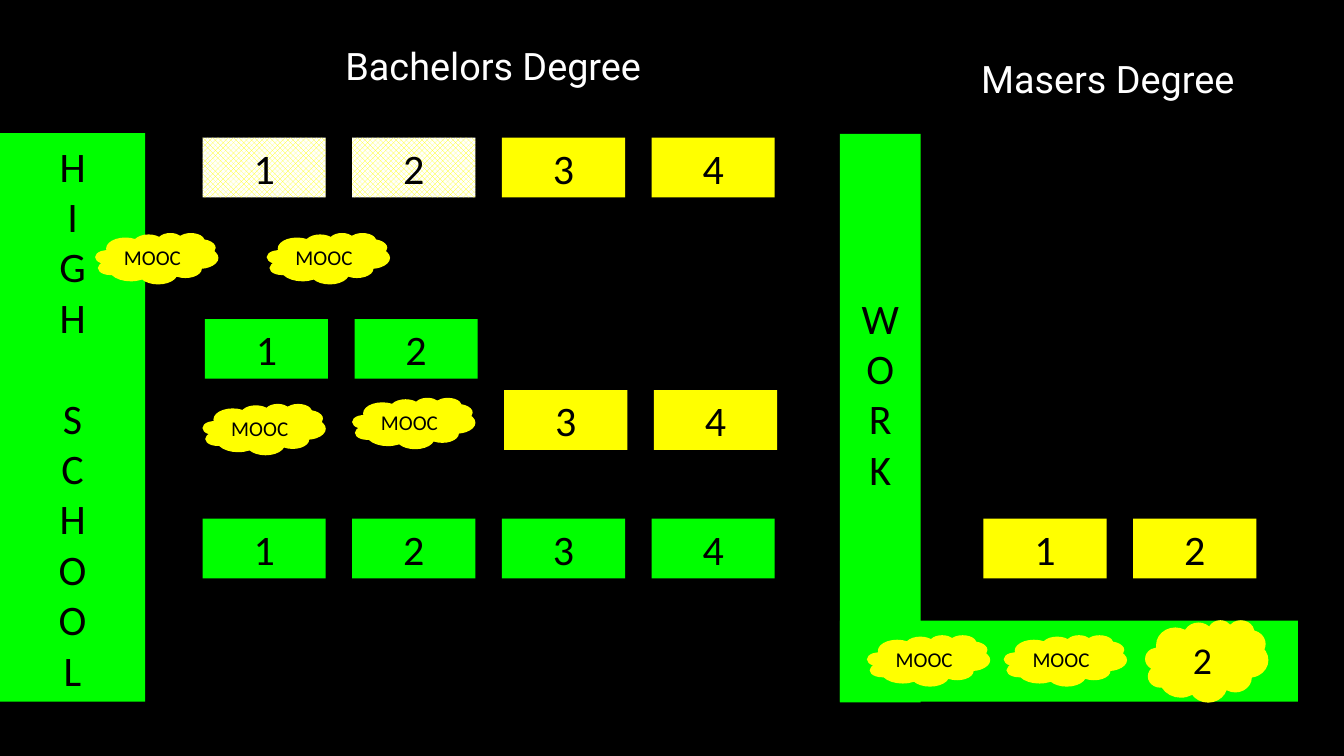
from pptx import Presentation
from pptx.dml.color import RGBColor
from pptx.enum.dml import MSO_PATTERN
from pptx.enum.shapes import MSO_SHAPE
from pptx.enum.text import MSO_ANCHOR, PP_ALIGN
from pptx.util import Inches, Pt

COLORS = {
    "black": "000000",
    "white": "FFFFFF",
    "green": "00FF00",
    "yellow": "FFFF00",
}
YEAR_PITCH = 1.98
ITEM_WIDTH = 1.63
LETTER_LINE = 48  # points taken by one line of 40 pt letters


def color(name):
    return RGBColor.from_string(COLORS[name])


class DegreePage:
    """Holds the style and the current slide."""

    def __init__(self, deck):
        self.page = deck.slides.add_slide(deck.slide_layouts[5])
        self.page.background.fill.solid()
        self.page.background.fill.fore_color.rgb = color("black")

    def set_text(self, shape, lines, size, font="Calibri", ink="black", align=PP_ALIGN.CENTER):
        frame = shape.text_frame
        frame.margin_left = frame.margin_right = Inches(0.06)
        frame.margin_top = frame.margin_bottom = Inches(0.06)
        frame.vertical_anchor = MSO_ANCHOR.MIDDLE
        frame.text = "\n".join(lines)
        for para in frame.paragraphs:
            para.alignment = align
            para.font.size = Pt(size)
            para.font.name = font
            para.font.color.rgb = color(ink)
        return frame

    def shape(self, kind, left, top, width, height, fill):
        shape = self.page.shapes.add_shape(
            kind, Inches(left), Inches(top), Inches(width), Inches(height))
        shape.shadow.inherit = False
        shape.line.fill.background()
        shape.fill.solid()
        shape.fill.fore_color.rgb = color(fill)
        return shape

    def bar(self, left, top, width, height, letters=""):
        """Draw a green bar, with its letters stacked from top to bottom."""
        bar = self.shape(MSO_SHAPE.RECTANGLE, left, top, width, height, "green")
        return self.set_text(bar, letters, 40) if letters else None

    def years(self, left, top, numbers, fill, hatched=False):
        """Draw a row of year boxes; left is where year 1 stands."""
        for number in numbers:
            box = self.shape(MSO_SHAPE.RECTANGLE, left + (number - 1) * YEAR_PITCH,
                             top, ITEM_WIDTH, 0.79, fill)
            if hatched:
                box.fill.patterned()
                box.fill.pattern = MSO_PATTERN.PERCENT_50
                box.fill.fore_color.rgb = color(fill)
                box.fill.back_color.rgb = color("white")
            self.set_text(box, [str(number)], 40)

    def cloud(self, left, top, label="MOOC", size=20, height=0.68):
        cloud = self.shape(MSO_SHAPE.CLOUD, left, top, ITEM_WIDTH, height, "yellow")
        self.set_text(cloud, [label], size)

    def heading(self, box, text, left, top, width):
        box.left, box.top = Inches(left), Inches(top)
        box.width, box.height = Inches(width), Inches(0.72)
        frame = self.set_text(box, [text], 36, "Roboto", "white", PP_ALIGN.LEFT)
        frame.word_wrap = False

    def title(self, text, left, top, width):
        self.heading(self.page.shapes.title, text, left, top, width)

    def label(self, text, left, top, width):
        box = self.page.shapes.add_textbox(0, 0, 0, 0)
        self.heading(box, text, left, top, width)


def main():
    deck = Presentation()
    deck.slide_width, deck.slide_height = Inches(17.78), Inches(10)
    page = DegreePage(deck)

    page.title("Bachelors Degree", 4.51, 0.5, 4.15)
    page.label("Masers Degree", 12.92, 0.67, 3.56)

    page.bar(11.11, 8.21, 6.06, 1.07)
    school = page.bar(0, 1.76, 1.92, 7.52, "HIGHSCHOOL")
    school.paragraphs[len("HIGH")].space_before = Pt(LETTER_LINE)
    work = page.bar(11.11, 1.77, 1.07, 7.52, "WORK")
    work.margin_bottom += Pt(LETTER_LINE)

    page.years(2.68, 1.82, (1, 2), "yellow", hatched=True)
    page.years(2.68, 1.82, (3, 4), "yellow")
    page.years(2.71, 4.22, (1, 2), "green")
    page.years(2.71, 5.16, (3, 4), "yellow")
    page.years(2.68, 6.86, (1, 2, 3, 4), "green")
    page.years(13.01, 6.86, (1, 2), "yellow")

    for left, top in ((1.26, 3.08), (3.53, 3.08), (4.66, 5.26), (2.68, 5.34),
                      (11.47, 8.4), (13.28, 8.4)):
        page.cloud(left, top)
    page.cloud(15.15, 8.2, "2", 36, 1.09)

    deck.save("out.pptx")


if __name__ == "__main__":
    main()
